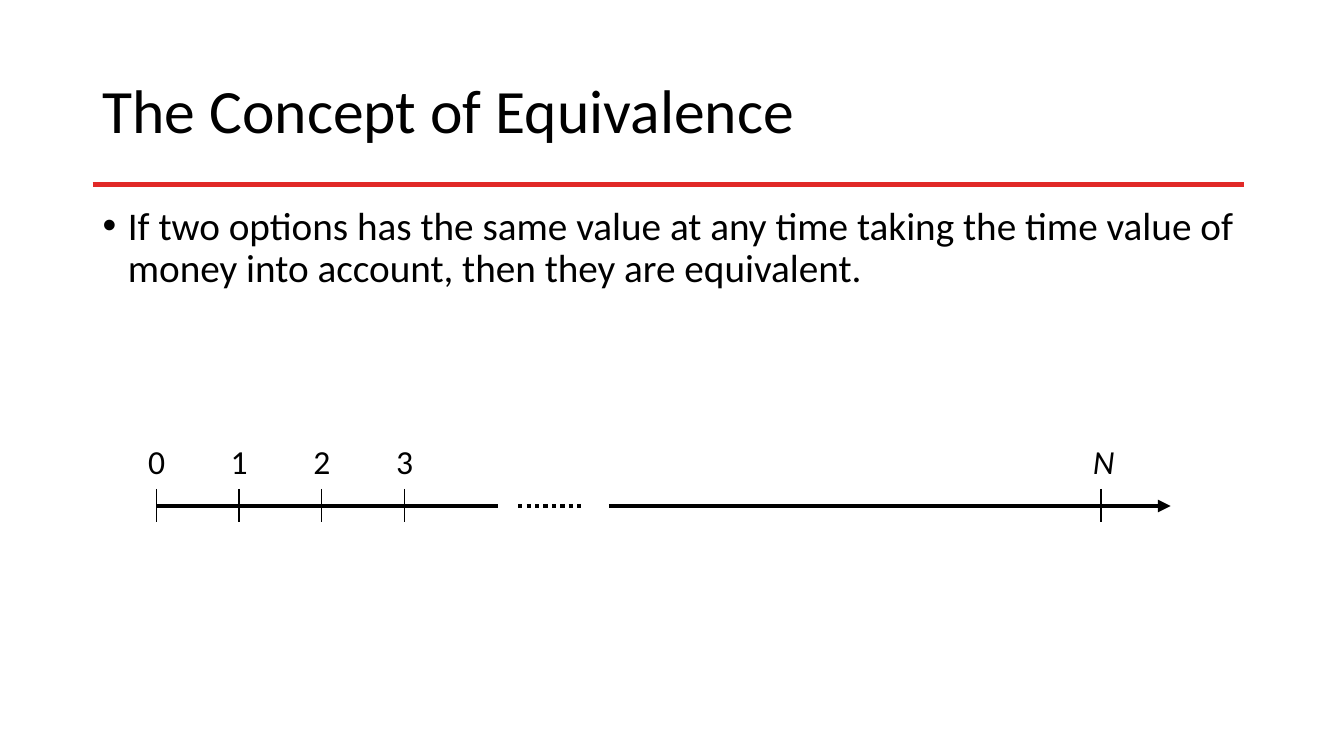
from lxml import etree
from pptx import Presentation
from pptx.dml.color import RGBColor
from pptx.enum.dml import MSO_LINE
from pptx.enum.shapes import MSO_CONNECTOR
from pptx.enum.text import MSO_ANCHOR
from pptx.oxml.ns import qn
from pptx.util import Inches, Pt

BLACK = RGBColor(0x00, 0x00, 0x00)
RED = RGBColor(0xE1, 0x29, 0x27)
FONT = "Calibri"

AXIS_TOP = 5.02
TICK_TOP, TICK_BOTTOM = 4.85, 5.18
FIRST_TICK, TICK_STEP = 1.55, 0.82
LAST_TICK = 10.92


def add_line(page, start, end, color=BLACK, width=3):
    line = page.shapes.add_connector(
        MSO_CONNECTOR.STRAIGHT, *(Inches(value) for value in (*start, *end))
    )
    line.line.color.rgb = color
    line.line.width = Pt(width)
    etree.SubElement(line._element.spPr, qn("a:effectLst"))
    return line


def add_arrowhead(line):
    etree.SubElement(line.line._get_or_add_ln(), qn("a:tailEnd"), type="triangle")


def add_text(page, text, place, size, anchor=MSO_ANCHOR.TOP, italic=False):
    """Add a one-paragraph text box and return the paragraph."""
    box = page.shapes.add_textbox(*(Inches(value) for value in place))
    frame = box.text_frame
    frame.word_wrap = True
    frame.vertical_anchor = anchor
    para = frame.paragraphs[0]
    span = para.add_run()
    span.text = text
    span.font.name = FONT
    span.font.size = Pt(size)
    span.font.italic = italic
    span.font.color.rgb = BLACK
    return para


def add_bullet(para, indent):
    properties = para._p.get_or_add_pPr()
    properties.set("marL", str(Inches(indent)))
    properties.set("indent", str(-Inches(indent)))
    etree.SubElement(properties, qn("a:buFont"), typeface="Arial")
    etree.SubElement(properties, qn("a:buChar"), char="•")


def add_tick(page, left, label, italic=False):
    add_line(page, (left, TICK_TOP), (left, TICK_BOTTOM), width=1)
    add_text(page, label, (left - 0.18, 4.33, 0.35, 0.5), 24, italic=italic)


def add_timeline(page):
    add_line(page, (FIRST_TICK, AXIS_TOP), (4.94, AXIS_TOP))
    gap = add_line(page, (5.14, AXIS_TOP), (5.78, AXIS_TOP))
    gap.line.dash_style = MSO_LINE.ROUND_DOT
    add_arrowhead(add_line(page, (6.04, AXIS_TOP), (11.61, AXIS_TOP)))
    for period in range(4):
        add_tick(page, FIRST_TICK + period * TICK_STEP, str(period))
    add_tick(page, LAST_TICK, "N", italic=True)


def main():
    deck = Presentation()
    deck.slide_width, deck.slide_height = Inches(13.33), Inches(7.5)
    page = deck.slides.add_slide(deck.slide_layouts[6])

    add_line(page, (0.92, 1.83), (12.34, 1.83), RED)
    title = add_text(page, "The Concept of Equivalence",
                     (0.92, 0.4, 11.5, 1.45), 44, MSO_ANCHOR.MIDDLE)
    title.line_spacing = 0.9
    definition = add_text(
        page,
        "If two options has the same value at any time taking the time value "
        "of money into account, then they are equivalent.",
        (0.92, 2, 11.83, 4.76), 28,
    )
    add_bullet(definition, 0.25)
    definition.line_spacing = 0.9
    add_timeline(page)

    deck.save("out.pptx")


if __name__ == "__main__":
    main()
